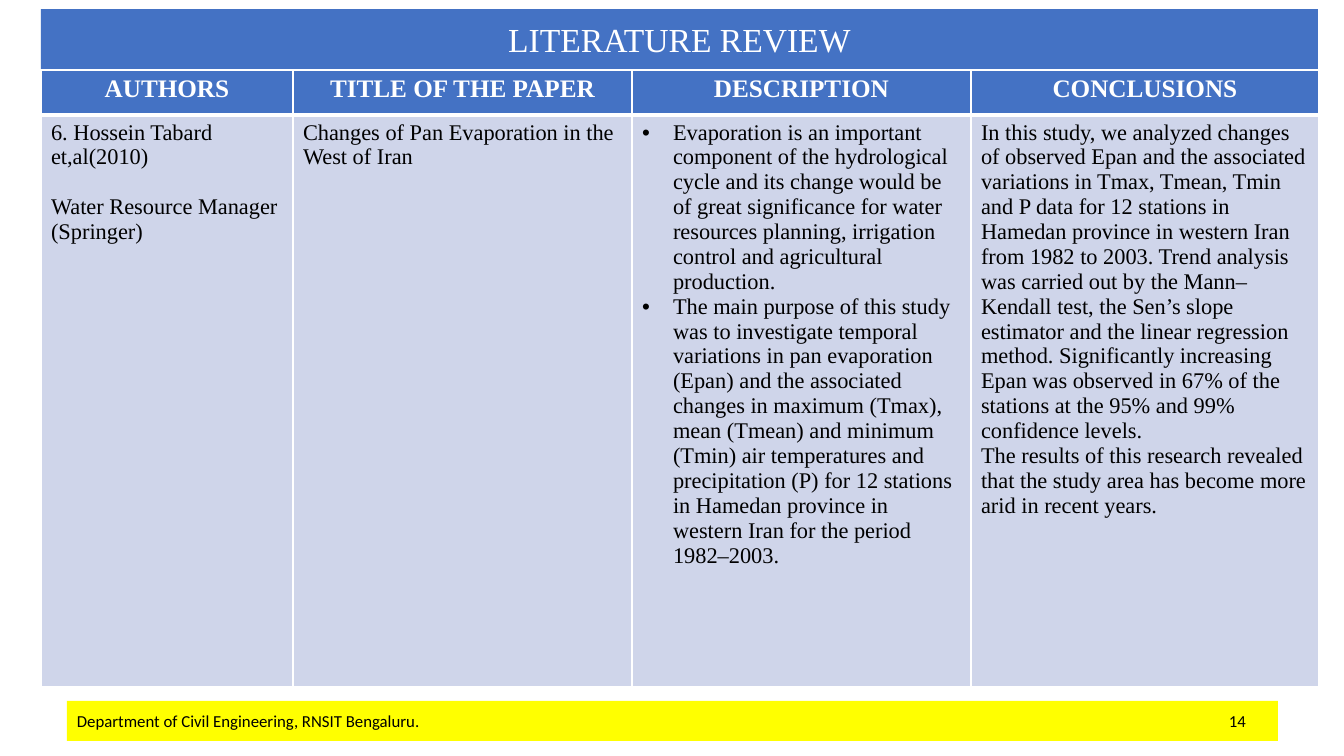
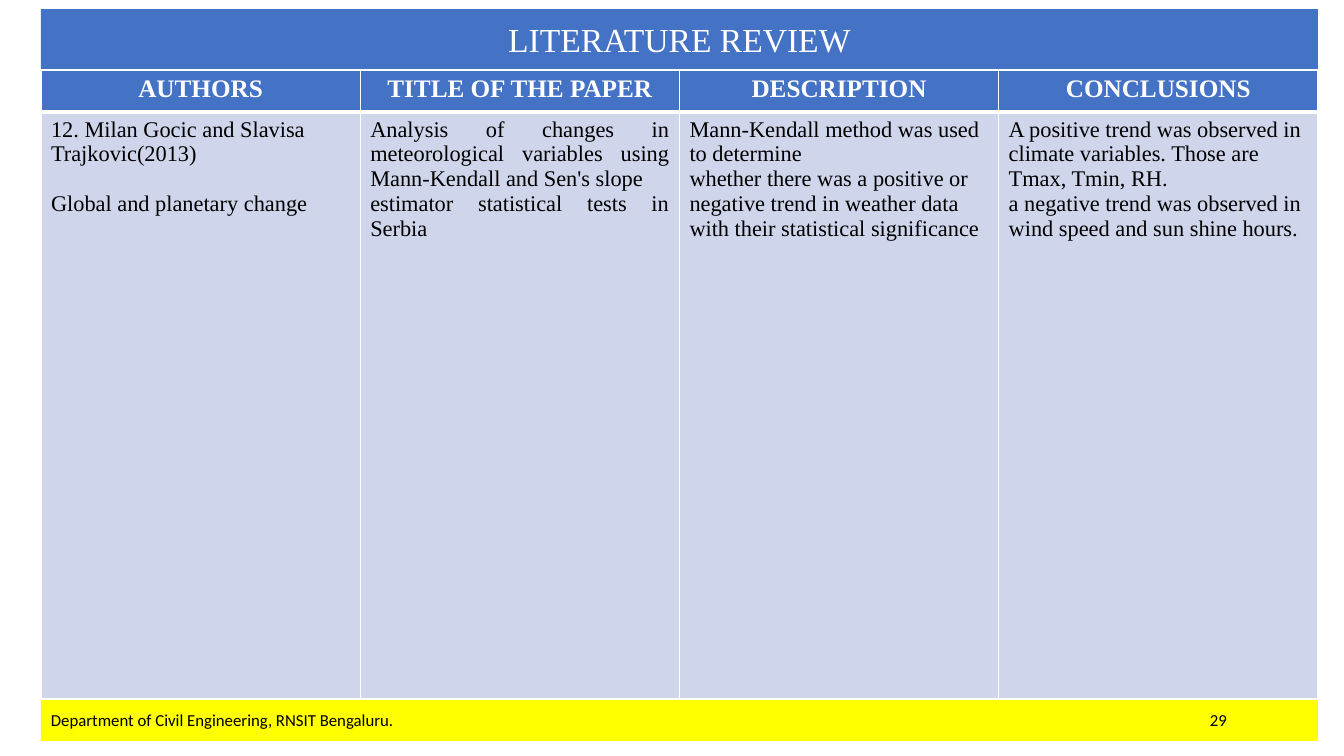
import pptx
import pptx.dml.color
import pptx.enum.shapes
import pptx.enum.text
import pptx.oxml
import pptx.oxml.ns
import pptx.util

ALIGN = pptx.enum.text.PP_ALIGN
COLORS = {"blue": "4472C4", "pale": "CFD5EA", "yellow": "FFFF00",
          "white": "FFFFFF", "black": "000000"}
STYLES = {
    "title": {"name": "Times New Roman", "size": 24, "color": "white", "bold": False},
    "header": {"name": "Times New Roman", "size": 18, "color": "white", "bold": True},
    "body": {"name": "Times New Roman", "size": 16, "color": "black", "bold": False},
    "footer": {"name": "Calibri", "size": 12, "color": "black", "bold": False},
}
HEADERS = ["AUTHORS", "TITLE OF THE PAPER", "DESCRIPTION", "CONCLUSIONS"]
LEFT, TOP, WIDTH, TITLE_H = 41, 9, 1277, 61


def px(n):
    return pptx.util.Emu(round(n * 914400 / 100.8))


def rgb(name):
    return pptx.dml.color.RGBColor.from_string(COLORS[name])


def child(parent, tag, **attrs):
    el = pptx.oxml.ns.qn(tag)
    el = parent.makeelement(el, attrs)
    parent.append(el)
    return el


class Deck:
    def __init__(self):
        self.prs = pptx.Presentation()
        self.prs.slide_width, self.prs.slide_height = px(1344), px(756)
        self.s = None

    def run(self, p, text, style):
        r = p.add_run()
        r.text = text
        for key, value in STYLES[style].items():
            if key == "color":
                r.font.color.rgb = rgb(value)
            else:
                setattr(r.font, key, pptx.util.Pt(value) if key == "size" else value)

    def place(self, sp, box, fill):
        for key, value in zip(("left", "top", "width", "height"), box):
            setattr(sp, key, px(value))
        sp.fill.solid()
        sp.fill.fore_color.rgb = rgb(fill)
        sp.line.fill.background()
        tf = sp.text_frame
        tf.word_wrap = True
        tf.auto_size = pptx.enum.text.MSO_AUTO_SIZE.NONE
        tf.vertical_anchor = pptx.enum.text.MSO_ANCHOR.MIDDLE
        return tf.paragraphs[0]

    def slide(self, title):
        self.s = self.prs.slides.add_slide(self.prs.slide_layouts[5])
        p = self.place(self.s.shapes.title, (LEFT, TOP, WIDTH, TITLE_H), "blue")
        p.alignment = ALIGN.CENTER
        self.run(p, title, "title")

    def footer(self, box, number, tab):
        sp = self.s.shapes.add_shape(pptx.enum.shapes.MSO_SHAPE.RECTANGLE, 0, 0, 0, 0)
        sp.shadow.inherit = False
        p = self.place(sp, box, "yellow")
        p.alignment = ALIGN.LEFT
        tabs = child(p._p.get_or_add_pPr(), "a:tabLst")
        child(tabs, "a:tab", pos=str(px(tab)), algn="l")
        self.run(p, "Department of Civil Engineering, RNSIT Bengaluru.\t" + number, "footer")

    def paragraph(self, p, text, style, align=ALIGN.LEFT, bullet=False, gap=0):
        p.alignment = align
        if gap:
            p.space_before = pptx.util.Pt(gap)
        if bullet:
            pPr = p._p.get_or_add_pPr()
            pPr.set("marL", str(px(31)))
            pPr.set("indent", str(-px(31)))
            child(pPr, "a:buFont", typeface="Arial")
            child(pPr, "a:buChar", char="•")
        self.run(p, text, style)

    def cell(self, cell, items, style, fill, borders):
        tcPr = cell._tc.get_or_add_tcPr()
        for side, width in zip("LRTB", borders):
            ln = child(tcPr, "a:ln" + side, w=str(pptx.util.Pt(width)))
            child(child(ln, "a:solidFill"), "a:srgbClr", val=COLORS["white"])
        cell.fill.solid()
        cell.fill.fore_color.rgb = rgb(fill)
        tf = cell.text_frame
        for i, (text, fmt) in enumerate(items):
            p = tf.add_paragraph() if i else tf.paragraphs[0]
            self.paragraph(p, text, style, **fmt)

    def table(self, cols, rows, body):
        frame = self.s.shapes.add_table(2, len(cols), px(LEFT), px(TOP + TITLE_H),
                                        px(sum(cols)), px(sum(rows)))
        tbl = frame.table
        tbl.horz_banding = False
        for row, height in zip(tbl.rows, rows):
            row.height = px(height)
        for i, width in enumerate(cols):
            tbl.columns[i].width = px(width)
            head = [(HEADERS[i], {"align": ALIGN.CENTER})]
            self.cell(tbl.cell(0, i), head, "header", "blue", (1, 1, 1, 3))
            self.cell(tbl.cell(1, i), body[i], "body", "pale", (1, 1, 3, 1))


PLAIN, GAP = {}, {"gap": 18}
BULLET, JUSTIFY = {"bullet": True}, {"align": ALIGN.JUSTIFY}

PAN_EVAPORATION = [
    [("6. Hossein Tabard et,al(2010)", PLAIN),
     ("Water Resource Manager", GAP),
     ("(Springer)", PLAIN)],
    [("Changes of Pan Evaporation in the West of Iran", PLAIN)],
    [("Evaporation is an important component of the hydrological cycle and its change "
      "would be of great significance for water resources planning, irrigation control "
      "and agricultural production.", BULLET),
     ("The main purpose of this study was to investigate temporal variations in pan "
      "evaporation (Epan) and the associated changes in maximum (Tmax), mean (Tmean) and "
      "minimum (Tmin) air temperatures and precipitation (P) for 12 stations in Hamedan "
      "province in western Iran for the period 1982–2003.", BULLET)],
    [("In this study, we analyzed changes of observed Epan and the associated variations "
      "in Tmax, Tmean, Tmin and P data for 12 stations in Hamedan province in western Iran "
      "from 1982 to 2003. Trend analysis was carried out by the Mann–Kendall test, the "
      "Sen’s slope estimator and the linear regression method. Significantly increasing "
      "Epan was observed in 67% of the stations at the 95% and 99% confidence levels.", PLAIN),
     ("The results of this research revealed that the study area has become more arid in "
      "recent years.", PLAIN)],
]
SERBIA_TRENDS = [
    [("12. Milan Gocic and Slavisa Trajkovic(2013)", PLAIN),
     ("Global and planetary change", GAP)],
    [("Analysis of changes in meteorological variables using Mann-Kendall and Sen's slope",
      JUSTIFY),
     ("estimator statistical tests in Serbia", JUSTIFY)],
    [("Mann-Kendall method was used to determine", PLAIN),
     ("whether there was a positive or negative trend in weather data with their "
      "statistical significance", PLAIN)],
    [("A positive trend was observed in climate variables. Those are Tmax, Tmin, RH.", PLAIN),
     ("a negative trend was observed in wind speed and sun shine hours.", PLAIN)],
]
REVIEWS = [
    {"cols": [252, 339, 339, 348], "rows": [45, 572], "body": PAN_EVAPORATION,
     "footer": ((67, 701, 1211, 40), "14", 1152)},
    {"cols": [WIDTH / 4] * 4, "rows": [42, 587], "body": SERBIA_TRENDS,
     "footer": ((LEFT, 699, WIDTH, 42), "29", 1159)},
]


def main():
    deck = Deck()
    for review in REVIEWS:
        deck.slide("LITERATURE REVIEW")
        deck.footer(*review["footer"])
        deck.table(review["cols"], review["rows"], review["body"])
    deck.prs.save("out.pptx")


if __name__ == "__main__":
    main()
